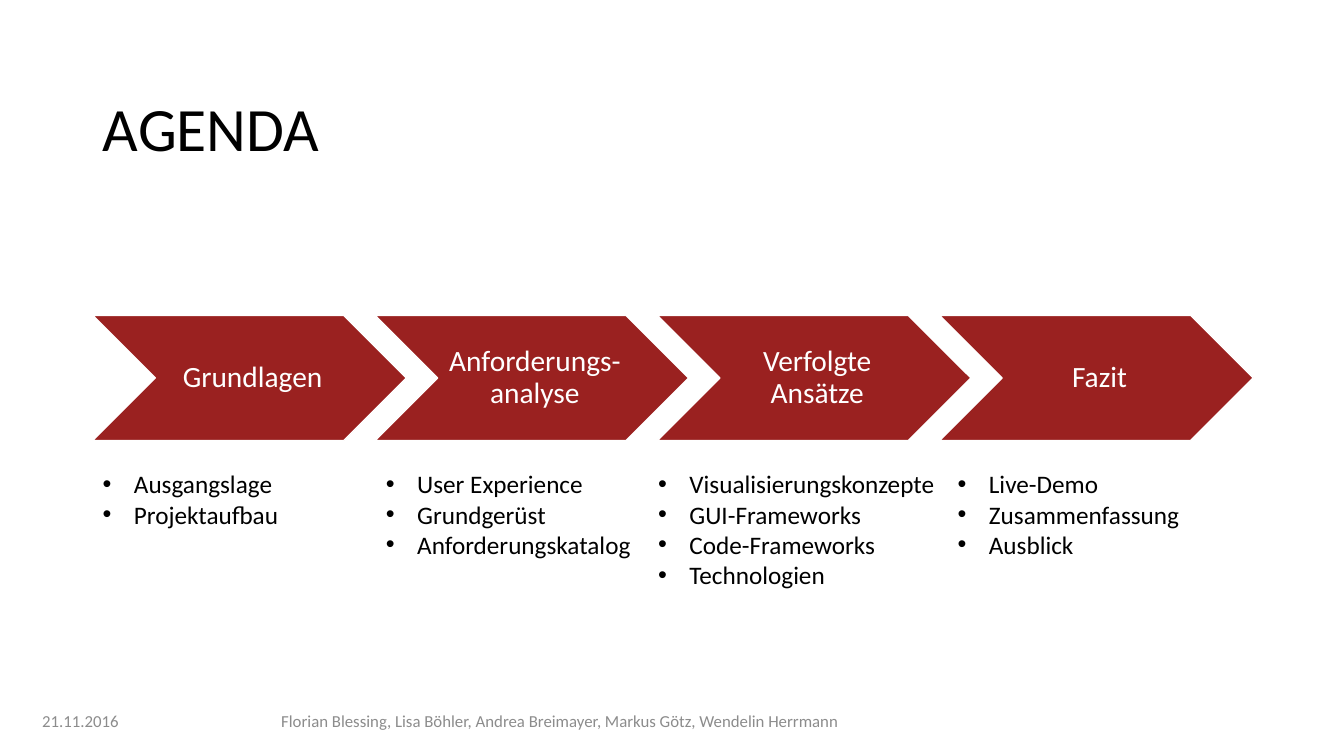
"""Build the agenda slide: four chevron steps with their topics and a footer."""
from lxml import etree
from pptx import Presentation
from pptx import util as u
from pptx.dml.color import RGBColor
from pptx.enum import shapes, text
from pptx.oxml import ns

COLOURS = {"step": "9A2120", "white": "FFFFFF", "ink": "000000", "footer": "8C8C8C"}
FONT = "Calibri"
LEFT, ALIGN_CENTRE = text.PP_ALIGN.LEFT, text.PP_ALIGN.CENTER
MIDDLE, TOP = text.MSO_ANCHOR.MIDDLE, text.MSO_ANCHOR.TOP

STEP_LEFT, STEP_PITCH, STEP_WIDTH, STEP_HEIGHT = 0.92, 2.8, 3.11, 1.24
STEP_TOP, TOPICS_TOP, LINE_HEIGHT, BULLET_INDENT = 3.13, 4.6, 0.3, 0.31

AGENDA = [
    ("Grundlagen", 0.92, 2.02, ["Ausgangslage", "Projektaufbau"]),
    ("Anforderungs-analyse", 3.73, 2.66,
     ["User Experience", "Grundgerüst", "Anforderungskatalog"]),
    ("Verfolgte Ansätze", 6.43, 2.97,
     ["Visualisierungskonzepte", "GUI-Frameworks", "Code-Frameworks", "Technologien"]),
    ("Fazit", 9.4, 2.42, ["Live-Demo", "Zusammenfassung", "Ausblick"]),
]
FOOTER = [
    ("21.11.2016", 0.32, 1.2, LEFT),
    ("Florian Blessing, Lisa Böhler, Andrea Breimayer, Markus Götz, Wendelin Herrmann",
     2.2, 6.71, ALIGN_CENTRE),
]


def colour(name):
    return RGBColor.from_string(COLOURS[name])


def apply(target, values):
    for name, value in values.items():
        setattr(target, name, value)


def write(frame, lines, size, ink, align=LEFT, spacing=1.0, **frame_format):
    apply(frame, {"word_wrap": True, "vertical_anchor": MIDDLE, **frame_format})
    frame.text = "\n".join(lines)
    for paragraph in frame.paragraphs:
        apply(paragraph, {"alignment": align, "line_spacing": spacing})
        apply(paragraph.font, {"name": FONT, "size": u.Pt(size)})
        paragraph.font.color.rgb = colour(ink)


def add_bullet(paragraph):
    properties = paragraph._p.get_or_add_pPr()
    indent = u.Inches(BULLET_INDENT)
    properties.set("marL", str(indent))
    properties.set("indent", str(-indent))
    etree.SubElement(properties, ns.qn("a:buFont")).set("typeface", "Arial")
    etree.SubElement(properties, ns.qn("a:buChar")).set("char", "•")


def add_title(slide, heading):
    title = slide.shapes.title
    apply(title, {"left": u.Inches(0.92), "top": u.Inches(0.76),
                  "width": u.Inches(11.5), "height": u.Inches(1.09)})
    write(title.text_frame, [heading], 44, "ink", spacing=0.9)


def add_step(slide, label, left):
    step = slide.shapes.add_shape(
        shapes.MSO_SHAPE.CHEVRON, u.Inches(left), u.Inches(STEP_TOP),
        u.Inches(STEP_WIDTH), u.Inches(STEP_HEIGHT))
    step.shadow.inherit = False
    step.fill.solid()
    step.fill.fore_color.rgb = colour("step")
    step.line.color.rgb = colour("white")
    step.line.width = u.Pt(1)
    inset = u.Inches(0.03)
    write(step.text_frame, [label], 21, "white", ALIGN_CENTRE, 0.9,
          margin_left=u.Inches(0.09), margin_right=inset,
          margin_top=inset, margin_bottom=inset)


def add_topics(slide, topics, left, width):
    height = 0.11 + LINE_HEIGHT * len(topics)
    box = slide.shapes.add_textbox(u.Inches(left), u.Inches(TOPICS_TOP),
                                   u.Inches(width), u.Inches(height))
    write(box.text_frame, topics, 18, "ink", word_wrap=False, vertical_anchor=TOP,
          auto_size=text.MSO_AUTO_SIZE.SHAPE_TO_FIT_TEXT)
    for paragraph in box.text_frame.paragraphs:
        add_bullet(paragraph)


def add_footer(slide, wording, left, width, align):
    box = slide.shapes.add_textbox(u.Inches(left), u.Inches(6.95),
                                   u.Inches(width), u.Inches(0.4))
    write(box.text_frame, [wording], 12, "footer", align)


def main():
    deck = Presentation()
    apply(deck, {"slide_width": u.Inches(13.33), "slide_height": u.Inches(7.5)})
    slide = deck.slides.add_slide(deck.slide_layouts.get_by_name("Title Only"))
    add_title(slide, "AGENDA")
    for index, (label, topics_left, topics_width, topics) in enumerate(AGENDA):
        add_step(slide, label, STEP_LEFT + index * STEP_PITCH)
        add_topics(slide, topics, topics_left, topics_width)
    for part in FOOTER:
        add_footer(slide, *part)
    deck.save("out.pptx")


if __name__ == "__main__":
    main()
